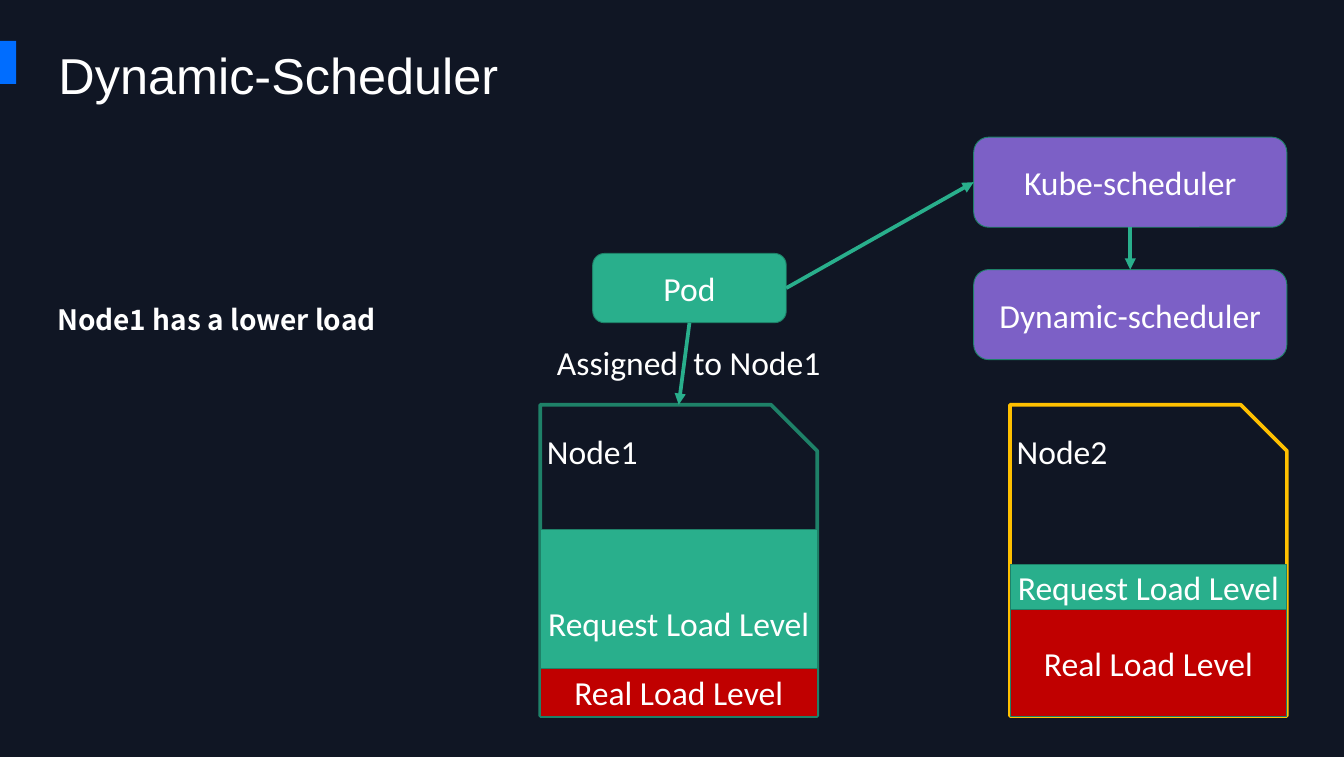
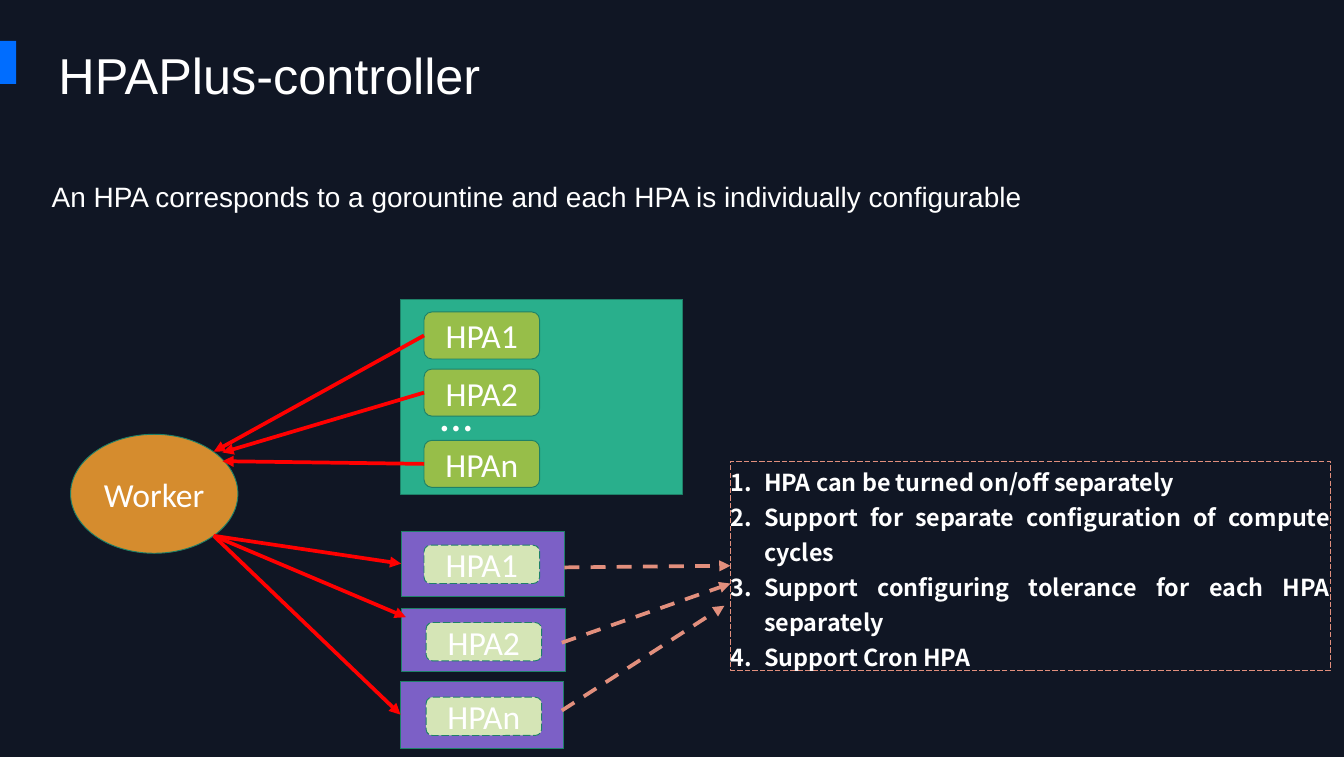
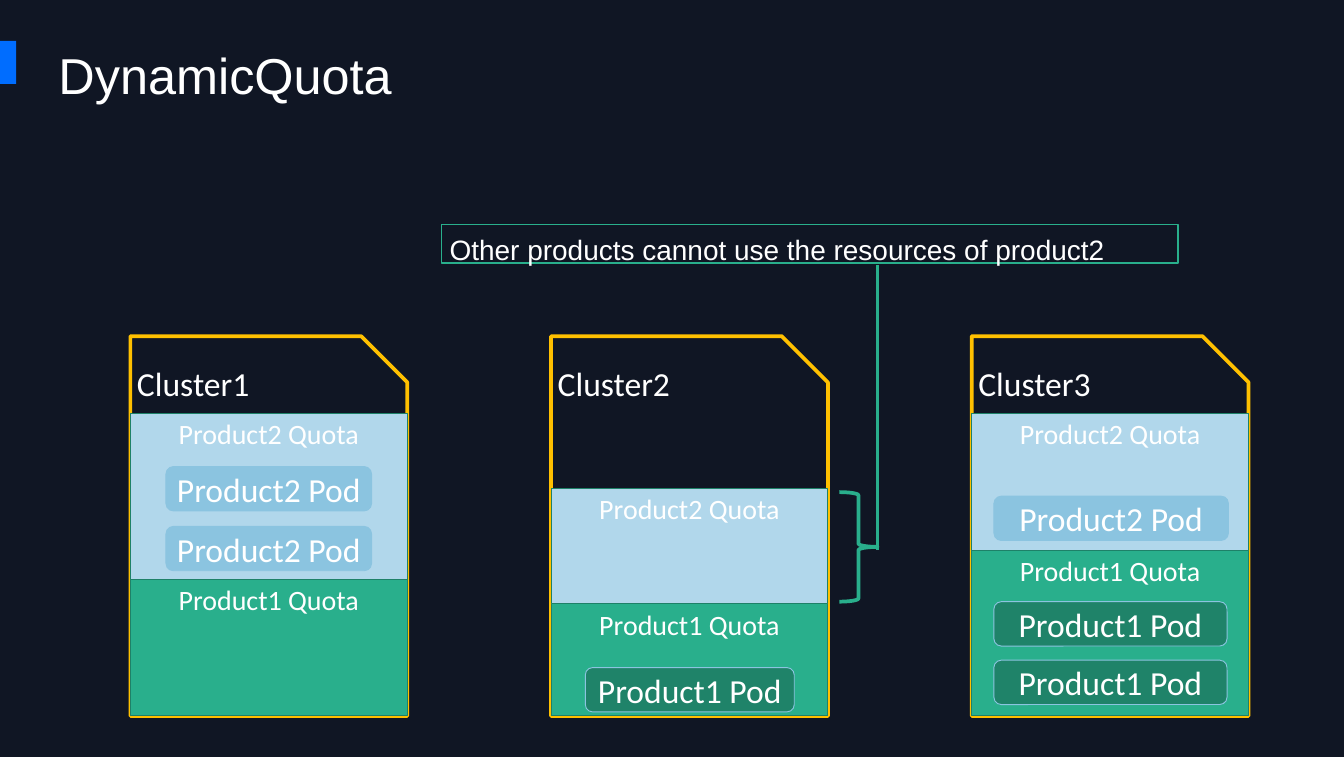
from lxml import etree
from pptx import Presentation
from pptx.dml.color import RGBColor
from pptx.enum.dml import MSO_LINE as Dash
from pptx.enum.shapes import MSO_CONNECTOR, MSO_SHAPE as Shape
from pptx.enum.text import MSO_ANCHOR as Anchor, PP_ALIGN as Align
from pptx.oxml.ns import qn
from pptx.util import Inches, Pt

BACKGROUND, WHITE, BLUE = "101624", "FFFFFF", "006DFF"
GREEN, DARK_GREEN, POD_GREEN = "29AF8C", "1E8168", "1F8369"
PURPLE, ORANGE, LIME, PALE_LIME = "7C60C6", "D58C2E", "97BE49", "D5E5B6"
RED, ARROW_RED, YELLOW, SALMON = "C00000", "FF0000", "FFC000", "E28F7D"
SKY, POD_SKY = "B1D7EB", "8BC4E0"
TITLE_FONT, LABEL_FONT, NOTE_FONT = "Arial", "Calibri", "Noto Sans CJK SC"
TOP, LEFT, BOTTOM, RIGHT = range(4)
NODE_WIDTH, NODE_BOTTOM = 4.12, 10.65


def color(value):
    return RGBColor.from_string(value)


class Deck:
    """Holds the shared style and the slide being built."""

    def __init__(self):
        self.presentation = Presentation()
        self.presentation.slide_width = Inches(20)
        self.presentation.slide_height = Inches(11.26)
        fill = self.presentation.slide_master.background.fill
        fill.solid()
        fill.fore_color.rgb = color(BACKGROUND)
        self.slide = None

    def new_slide(self, title):
        layout = self.presentation.slide_layouts[5]
        self.slide = self.presentation.slides.add_slide(layout)
        shape = self.slide.shapes.title
        shape.left, shape.top = Inches(0.77), Inches(0.61)
        shape.width, shape.height = Inches(8.8), Inches(1.01)
        self.put_text(shape, [title], 54, TITLE_FONT, align=Align.LEFT)
        self.box(0, 0.61, 0.24, 0.64, BLUE)

    def put_text(self, shape, texts, size=36, font=LABEL_FONT, bold=False,
                 align=Align.CENTER, anchor=Anchor.TOP, spacing=None,
                 margins=None, numbered=False):
        frame = shape.text_frame
        frame.word_wrap = True
        frame.vertical_anchor = anchor
        if margins is not None:
            frame.margin_left = Inches(margins)
            frame.margin_right = frame.margin_top = frame.margin_bottom = 0
        for index, text in enumerate(texts):
            paragraph = frame.add_paragraph() if index else frame.paragraphs[0]
            paragraph.alignment = align
            if numbered:
                self.number(paragraph)
            if spacing:
                paragraph.line_spacing = spacing
            run = paragraph.add_run()
            run.text = text
            self.style(run, size, font, bold)

    def style(self, run, size, font, bold=False):
        run.font.size, run.font.name, run.font.bold = Pt(size), font, bold
        run.font.color.rgb = color(WHITE)

    def number(self, paragraph):
        properties = paragraph._p.get_or_add_pPr()
        properties.set("marL", str(Inches(0.5)))
        properties.set("indent", str(Inches(-0.5)))
        etree.SubElement(properties, qn("a:buAutoNum"), type="arabicPeriod")

    def box(self, left, top, width, height, fill=None, line=None, weight=1,
            kind=Shape.RECTANGLE, dash=None, text=None, **style):
        shape = self.slide.shapes.add_shape(
            kind, Inches(left), Inches(top), Inches(width), Inches(height))
        shape.shadow.inherit = False
        if fill:
            shape.fill.solid()
            shape.fill.fore_color.rgb = color(fill)
        else:
            shape.fill.background()
        if line:
            self.stroke(shape.line, line, weight, dash)
        else:
            shape.line.fill.background()
        if text:
            self.put_text(shape, [text], **{"anchor": Anchor.MIDDLE, **style})
        return shape

    def rounded(self, left, top, width, height, fill, text, line=DARK_GREEN, dash=None):
        return self.box(left, top, width, height, fill, line, dash=dash,
                        kind=Shape.ROUNDED_RECTANGLE, text=text)

    def node(self, left, top, line, name):
        return self.box(left, top, NODE_WIDTH, NODE_BOTTOM - top, line=line, weight=4,
                        kind=Shape.SNIP_1_RECTANGLE, text=name,
                        align=Align.LEFT, anchor=Anchor.TOP)

    def level(self, left, top, fill, text, bottom=NODE_BOTTOM, **style):
        return self.box(left, top, NODE_WIDTH, bottom - top, fill, DARK_GREEN,
                        text=text, **style)

    def label(self, left, top, width, height, texts, **style):
        shape = self.slide.shapes.add_textbox(
            Inches(left), Inches(top), Inches(width), Inches(height))
        self.put_text(shape, texts, **{"align": Align.LEFT, **style})
        return shape

    def stroke(self, line, value, weight, dash=None):
        line.color.rgb = color(value)
        line.width = Pt(weight)
        if dash:
            line.dash_style = dash

    def connect(self, start, end, value, dash=None, arrow=True):
        """Each end is a point, or a shape with one of its sides."""
        joined = [not isinstance(point[0], (int, float)) for point in (start, end)]
        begin = (0, 0) if joined[0] else start
        finish = (0, 0) if joined[1] else end
        connector = self.slide.shapes.add_connector(
            MSO_CONNECTOR.STRAIGHT, *(Inches(number) for number in (*begin, *finish)))
        if joined[0]:
            connector.begin_connect(*start)
        if joined[1]:
            connector.end_connect(*end)
        self.stroke(connector.line, value, 4, dash)
        properties = connector._element.spPr
        if arrow:
            etree.SubElement(properties.find(qn("a:ln")), qn("a:tailEnd"), type="triangle")
        etree.SubElement(properties, qn("a:effectLst"))


def scheduler_slide(deck):
    deck.new_slide("Dynamic-Scheduler")

    # Nodes with their load levels
    node1, node2 = 8.04, 15.03
    deck.node(node1, 6.02, DARK_GREEN, "Node1")
    deck.node(node2, 6.02, YELLOW, "Node2")
    deck.level(node1, 7.87, GREEN, "Request Load Level")
    deck.level(node2, 8.39, GREEN, "Request Load Level", anchor=Anchor.TOP)
    for left, top in ((node1, 9.94), (node2, 9.07)):
        deck.level(left, top, RED, "Real Load Level")

    # Pod and schedulers
    kube = deck.rounded(14.49, 2.04, 4.66, 1.34, PURPLE, "Kube-scheduler")
    dynamic = deck.rounded(14.49, 4.01, 4.66, 1.34, PURPLE, "Dynamic-scheduler")
    pod = deck.rounded(8.82, 3.77, 2.88, 1.03, GREEN, "Pod")
    deck.connect((pod, RIGHT), (kube, LEFT), GREEN)
    deck.connect((pod, BOTTOM), (10.1, 6.02), GREEN)
    deck.connect((kube, BOTTOM), (dynamic, TOP), GREEN)

    # Captions; the wide space leaves room for the arrow
    caption = deck.label(8.19, 5.03, 4.43, 0.71, ["Assigned"])
    for text, tracking in ((" ", "810"), ("to Node1", "0")):
        run = caption.text_frame.paragraphs[0].add_run()
        run.text = text
        deck.style(run, 36, LABEL_FONT)
        run._r.get_or_add_rPr().set("spc", tracking)
    deck.label(0.85, 4.38, 6.73, 0.57, ["Node1 has a lower load"], size=30, font=NOTE_FONT,
               bold=True, align=Align.JUSTIFY, spacing=1.25, margins=0)


def controller_slide(deck):
    deck.new_slide("HPAPlus-controller")
    deck.label(0.77, 2.54, 18, 0.57,
               ["An HPA corresponds to a gorountine and each HPA is individually configurable"],
               size=30, font=TITLE_FONT, spacing=1.25, margins=0)

    # Worker and the HPAs it reads
    deck.box(5.96, 4.45, 4.2, 2.9, GREEN, DARK_GREEN)
    deck.box(1.05, 6.46, 2.49, 1.77, ORANGE, DARK_GREEN, kind=Shape.OVAL, text="Worker")
    deck.label(6.45, 5.68, 1.46, 0.94, ["…"], size=50)
    for name, top, target in (("HPA1", 4.64, (3.18, 6.72)),
                              ("HPA2", 5.49, (3.31, 6.73)),
                              ("HPAn", 6.55, (3.31, 6.86))):
        hpa = deck.rounded(6.31, top, 1.72, 0.7, LIME, name)
        deck.connect((hpa, LEFT), target, ARROW_RED)

    # Features of each goroutine
    features = deck.box(10.87, 6.86, 8.92, 3.11, line=SALMON, weight=0.75, dash=Dash.LONG_DASH)
    deck.put_text(features, ["HPA can be turned on/off separately",
                             "Support for separate configuration of compute cycles",
                             "Support configuring tolerance for each HPA separately",
                             "Support Cron HPA"],
                  size=25, font=NOTE_FONT, bold=True, align=Align.JUSTIFY,
                  spacing=1.25, margins=0, numbered=True)
    features.text_frame.paragraphs[0].alignment = Align.LEFT

    # One goroutine per HPA
    goroutines = (
        ("HPA1", (5.97, 7.9, 2.43, 0.97), (6.31, 8.11), None, (8.4, 8.44), (features, LEFT)),
        ("HPA2", (5.98, 9.05, 2.43, 0.94), (6.34, 9.26), (6.04, 9.18), (8.36, 9.56), (10.87, 8.68)),
        ("HPAn", (5.96, 10.13, 2.43, 1), (6.34, 10.37), None, (8.36, 10.57), (10.78, 9.01)),
    )
    for name, frame, corner, entry, leave, target in goroutines:
        goroutine = deck.box(*frame, PURPLE, DARK_GREEN)
        deck.rounded(*corner, 1.72, 0.57, PALE_LIME, name, dash=Dash.LONG_DASH)
        deck.connect((3.18, 7.97), entry or (goroutine, LEFT), ARROW_RED)
        deck.connect(leave, target, SALMON, Dash.DASH)


def quota_slide(deck):
    deck.new_slide("DynamicQuota")

    # Clusters: quota tops, then pods as left, width and tops
    clusters = (
        (6.15, 8.62, (2.47, 3.06, (6.94, 7.83)), None),
        (7.26, 8.98, None, (8.71, 3.11, (9.93,))),
        (6.15, 8.19, (14.79, 3.49, (7.38,)), (14.79, 3.47, (8.95, 9.82))),
    )
    for index, (product2_top, product1_top, product2_pods, product1_pods) in enumerate(clusters):
        left = 1.94 + 6.26 * index
        deck.node(left, 5, YELLOW, f"Cluster{index + 1}")
        deck.level(left, product1_top, GREEN, "Product1 Quota", size=30, anchor=Anchor.TOP)
        deck.level(left, product2_top, SKY, "Product2 Quota", product1_top,
                   size=30, anchor=Anchor.TOP)
        for name, fill, pods in (("Product2 Pod", POD_SKY, product2_pods),
                                 ("Product1 Pod", POD_GREEN, product1_pods)):
            if pods:
                pod_left, width, tops = pods
                for top in tops:
                    deck.rounded(pod_left, top, width, 0.66, fill, name, POD_SKY)

    # Note on the reserved quota
    deck.box(6.57, 3.34, 10.96, 0.57, line=GREEN, weight=2,
             text="Other products cannot use the resources of product2", size=30,
             font=TITLE_FONT, align=Align.LEFT, anchor=Anchor.TOP, spacing=1.25, margins=0.12)
    deck.box(12.49, 7.32, 0.57, 1.63, line=GREEN, weight=4, kind=Shape.RIGHT_BRACE)
    deck.connect((13.06, 3.94), (13.06, 8.18), GREEN, arrow=False)


def main():
    deck = Deck()
    scheduler_slide(deck)
    controller_slide(deck)
    quota_slide(deck)
    deck.presentation.save("out.pptx")


if __name__ == "__main__":
    main()
